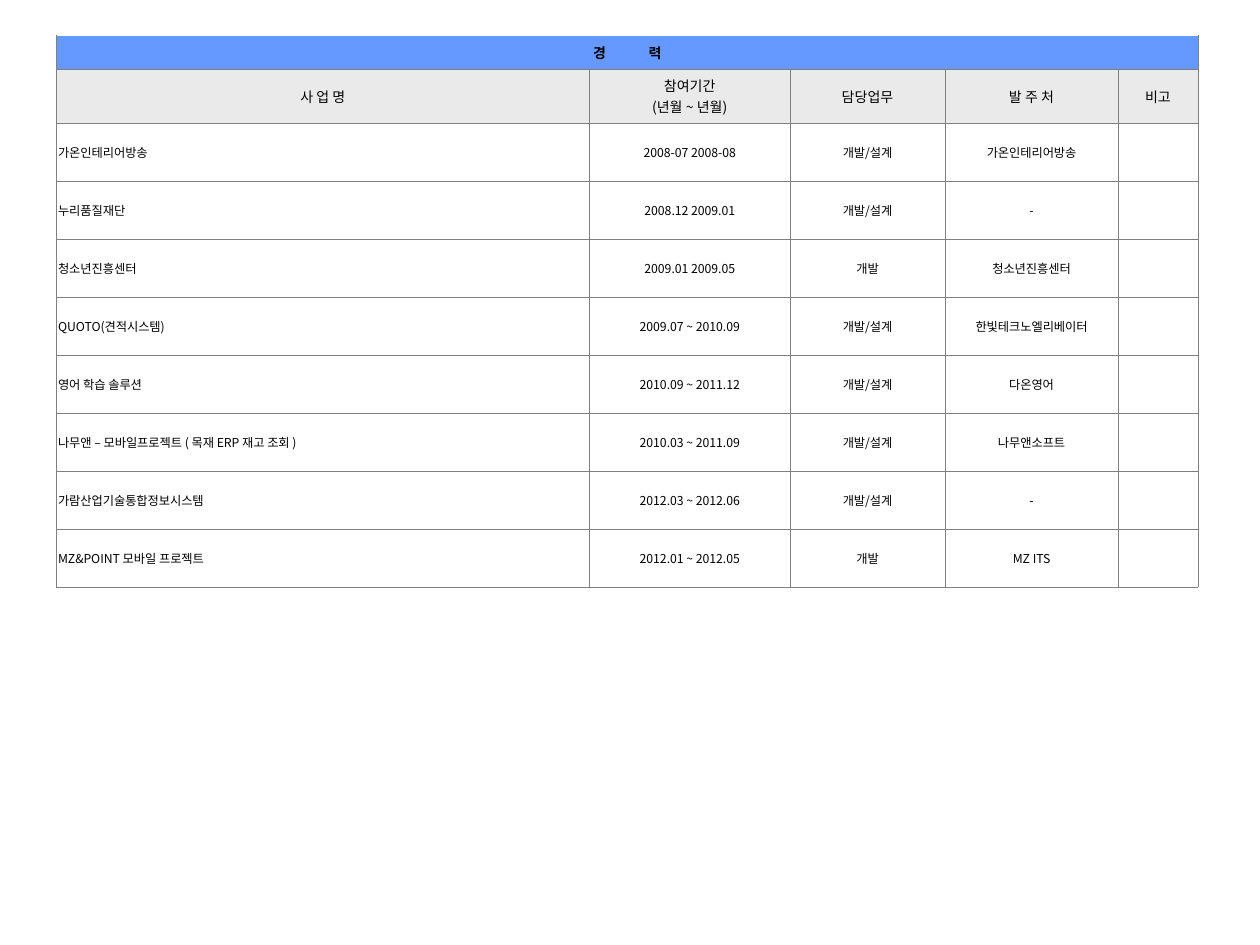
from dataclasses import dataclass
from typing import NamedTuple

from lxml.etree import SubElement
from pptx import Presentation
from pptx.dml.color import RGBColor
from pptx.enum.text import MSO_ANCHOR, PP_ALIGN
from pptx.oxml import parse_xml
from pptx.oxml.ns import nsdecls, qn
from pptx.table import Table, _Cell
from pptx.util import Cm, Pt


@dataclass(frozen=True)
class Theme:
    font: str = "Noto Sans CJK KR"
    ink: str = "000000"
    title_fill: str = "6699FF"
    header_fill: str = "EAEAEA"
    body_fill: str = "FFFFFF"
    border: str = "808080"
    border_width: float = 0.11
    heading_size: float = 8
    body_size: float = 7
    title_gap: float = 22.5


class Project(NamedTuple):
    name: str
    period: str
    duty: str
    client: str


THEME = Theme()
COLUMN_WIDTHS = (10.74, 4.05, 3.12, 3.49, 1.61)
TITLE_HEIGHT, HEADER_HEIGHT, PROJECT_HEIGHT = 0.66, 1.07, 1.17
TITLE = "경 력"
HEADERS = ("사 업 명", "참여기간\n(년월 ~ 년월)", "담당업무", "발 주 처", "비고")
PROJECTS = (
    Project("가온인테리어방송", "2008-07 2008-08", "개발/설계", "가온인테리어방송"),
    Project("누리품질재단", "2008.12 2009.01", "개발/설계", "-"),
    Project("청소년진흥센터", "2009.01 2009.05", "개발", "청소년진흥센터"),
    Project("QUOTO(견적시스템)", "2009.07 ~ 2010.09", "개발/설계", "한빛테크노엘리베이터"),
    Project("영어 학습 솔루션", "2010.09 ~ 2011.12", "개발/설계", "다온영어"),
    Project("나무앤 – 모바일프로젝트 ( 목재 ERP 재고 조회 )", "2010.03 ~ 2011.09", "개발/설계", "나무앤소프트"),
    Project("가람산업기술통합정보시스템", "2012.03 ~ 2012.06", "개발/설계", "-"),
    Project("MZ&POINT 모바일 프로젝트", "2012.01 ~ 2012.05", "개발", "MZ ITS"),
)


def write_text(cell: _Cell, text: str, *, size: float, bold: bool = False,
               align: PP_ALIGN = PP_ALIGN.CENTER, gap: float = 0) -> None:
    cell.vertical_anchor = MSO_ANCHOR.MIDDLE
    cell.margin_left = cell.margin_right = Cm(0.03)
    cell.margin_top = cell.margin_bottom = Cm(0.13)
    frame = cell.text_frame
    for index, line in enumerate(text.split("\n")):
        paragraph = frame.add_paragraph() if index else frame.paragraphs[0]
        paragraph.alignment = align
        for piece in line.partition(" ") if gap else (line,):
            run = paragraph.add_run()
            run.text = piece
            run.font.size = Pt(size)
            run.font.bold = bold
            run.font.name = THEME.font
            run.font.color.rgb = RGBColor.from_string(THEME.ink)
            properties = run.font._element
            SubElement(properties, qn("a:ea")).set("typeface", THEME.font)
            if piece == " ":
                properties.set("spc", str(round(gap * 100)))


def fill_cell(cell: _Cell, color: str) -> None:
    cell.fill.solid()
    cell.fill.fore_color.rgb = RGBColor.from_string(color)


def draw_borders(cell: _Cell, sides: str) -> None:
    properties = cell._tc.get_or_add_tcPr()
    for index, side in enumerate(sides):
        properties.insert(index, parse_xml(
            f'<a:ln{side} {nsdecls("a")} w="{Pt(THEME.border_width)}"><a:solidFill>'
            f'<a:srgbClr val="{THEME.border}"/></a:solidFill></a:ln{side}>'))


def draw_title(table: Table) -> None:
    title = table.cell(0, 0)
    title.merge(table.cell(0, len(COLUMN_WIDTHS) - 1))
    write_text(title, TITLE, size=THEME.heading_size, bold=True, gap=THEME.title_gap)
    for cell in table.rows[0].cells:
        fill_cell(cell, THEME.title_fill)
        draw_borders(cell, "LRB")


def draw_headers(table: Table) -> None:
    for cell, header in zip(table.rows[1].cells, HEADERS):
        write_text(cell, header, size=THEME.heading_size)
        fill_cell(cell, THEME.header_fill)
        draw_borders(cell, "LRTB")


def draw_project(table: Table, row: int, project: Project) -> None:
    *details, remark = table.rows[row].cells
    for column, (cell, text) in enumerate(zip(details, project)):
        align = PP_ALIGN.CENTER if column else PP_ALIGN.LEFT
        write_text(cell, text, size=THEME.body_size, align=align)
        fill_cell(cell, THEME.body_fill)
        draw_borders(cell, "LRTB")
    remark.fill.background()
    draw_borders(remark, "LRTB")


def main() -> None:
    presentation = Presentation()
    presentation.slide_width, presentation.slide_height = Cm(25.4), Cm(19.05)
    slide = presentation.slides.add_slide(presentation.slide_layouts[6])
    heights = (TITLE_HEIGHT, HEADER_HEIGHT) + (PROJECT_HEIGHT,) * len(PROJECTS)
    table = slide.shapes.add_table(
        len(heights), len(COLUMN_WIDTHS), Cm(1.14), Cm(0.72),
        Cm(sum(COLUMN_WIDTHS)), Cm(sum(heights))).table
    table.first_row = table.horz_banding = False
    for column, width in zip(table.columns, COLUMN_WIDTHS):
        column.width = Cm(width)
    for row, height in zip(table.rows, heights):
        row.height = Cm(height)
    draw_title(table)
    draw_headers(table)
    for row, project in enumerate(PROJECTS, start=2):
        draw_project(table, row, project)
    presentation.save("out.pptx")


if __name__ == "__main__":
    main()
